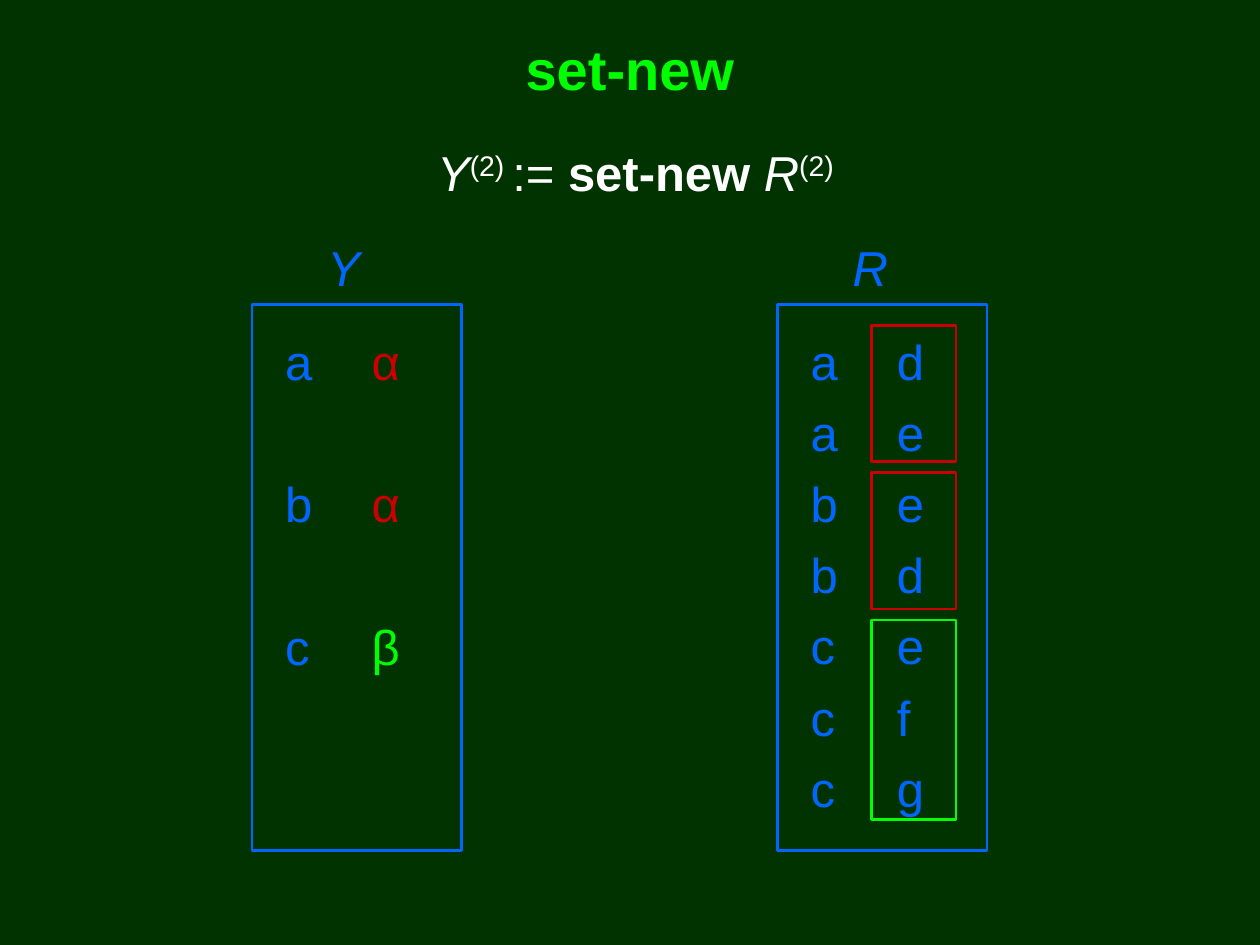
from pptx import Presentation
from pptx.dml.color import RGBColor
from pptx.enum.shapes import MSO_SHAPE
from pptx.enum.text import MSO_ANCHOR, PP_ALIGN
from pptx.oxml.ns import qn
from pptx.util import Cm, Pt
from lxml import etree

RECTANGLE = MSO_SHAPE.RECTANGLE
TOP, MIDDLE = MSO_ANCHOR.TOP, MSO_ANCHOR.MIDDLE
LEFT, CENTER = PP_ALIGN.LEFT, PP_ALIGN.CENTER

COLORS = {
    "background": "003300",
    "green": "00FF00",
    "white": "FFFFFF",
    "blue": "0066FF",
    "red": "CC0000",
}


def rgb(name):
    return RGBColor.from_string(COLORS[name])


class SlideBuilder:
    font_name = "Arial"
    font_size = 28
    line_width = 1.5
    column_tab = 1.74
    row_gap = 7

    def __init__(self, slide):
        self.slide = slide
        slide.background.fill.solid()
        slide.background.fill.fore_color.rgb = rgb("background")

    def text_box(self, left, top, width, height, anchor=TOP):
        shape = self.slide.shapes.add_textbox(Cm(left), Cm(top), Cm(width), Cm(height))
        text_frame = shape.text_frame
        text_frame.word_wrap = True
        text_frame.vertical_anchor = anchor
        return text_frame

    def add_run(self, paragraph, text, color, size=None, bold=False, italic=False, raised=False):
        run = paragraph.add_run()
        run.text = text
        run.font.name = self.font_name
        run.font.size = Pt(size or self.font_size)
        run.font.bold = bold
        run.font.italic = italic
        run.font.color.rgb = rgb(color)
        if raised:
            run._r.get_or_add_rPr().set("baseline", "30000")

    def line(self, box, runs, align=LEFT, anchor=TOP):
        """One line of text, made of (text, color, style) runs."""
        paragraph = self.text_box(*box, anchor).paragraphs[0]
        paragraph.alignment = align
        for text, color, style in runs:
            self.add_run(paragraph, text, color, **style)

    def rows(self, box, rows, gap):
        """Two tabbed columns, made of (key, value, value color) rows."""
        text_frame = self.text_box(*box)
        for index, (key, value, color) in enumerate(rows):
            paragraph = text_frame.add_paragraph() if index else text_frame.paragraphs[0]
            if index:
                paragraph.space_before = Pt(gap)
            tabs = etree.SubElement(paragraph._p.get_or_add_pPr(), qn("a:tabLst"))
            etree.SubElement(tabs, qn("a:tab"), pos=str(Cm(self.column_tab)), algn="l")
            self.add_run(paragraph, key + "\t", "blue")
            self.add_run(paragraph, value, color)

    def frame(self, left, top, width, height, color):
        shape = self.slide.shapes.add_shape(
            RECTANGLE, Cm(left), Cm(top), Cm(width), Cm(height))
        shape.shadow.inherit = False
        shape.fill.background()
        shape.line.color.rgb = rgb(color)
        shape.line.width = Pt(self.line_width)


def main():
    presentation = Presentation()
    presentation.slide_width, presentation.slide_height = Cm(25.4), Cm(19.05)
    blank_layout = presentation.slide_layouts[6]
    builder = SlideBuilder(presentation.slides.add_slide(blank_layout))

    # Title and statement
    builder.line((0, 0, 25.4, 2.75), [("set-new", "green", {"size": 32, "bold": True})],
                 CENTER, MIDDLE)
    builder.line((0.85, 2.75, 23.92, 16.3), [
        ("Y", "white", {"italic": True}),
        ("(2) ", "white", {"raised": True}),
        (":= ", "white", {}),
        ("set-new ", "white", {"bold": True}),
        ("R", "white", {"italic": True}),
        ("(2)", "white", {"raised": True}),
    ], CENTER)

    # Relations: Y leaves every second row empty
    r_rows = [(key, value, "blue") for key, value in zip("aabbccc", "deedefg")]
    y_rows = [("a", "α", "red"), ("b", "α", "red"), ("c", "β", "green")]
    line_height = 33.7
    wide_gap = 2 * builder.row_gap + line_height
    relations = [("Y", 5.08, y_rows, wide_gap), ("R", 15.67, r_rows, builder.row_gap)]
    for name, left, rows, gap in relations:
        builder.rows((left + 0.42, 6.56, 3.81, 10.04), rows, gap)
        builder.line((left + 1.27, 4.66, 1.2, 1.45), [(name, "blue", {"italic": True})])
        builder.frame(left, 6.14, 4.23, 11.01, "blue")

    # Groups of values in R, stacked with equal gaps
    group_top, group_gap = 6.56, 0.22
    for height, color in [(2.75, "red"), (2.75, "red"), (4.02, "green")]:
        builder.frame(17.57, group_top, 1.7, height, color)
        group_top += height + group_gap

    presentation.save("out.pptx")


if __name__ == "__main__":
    main()
